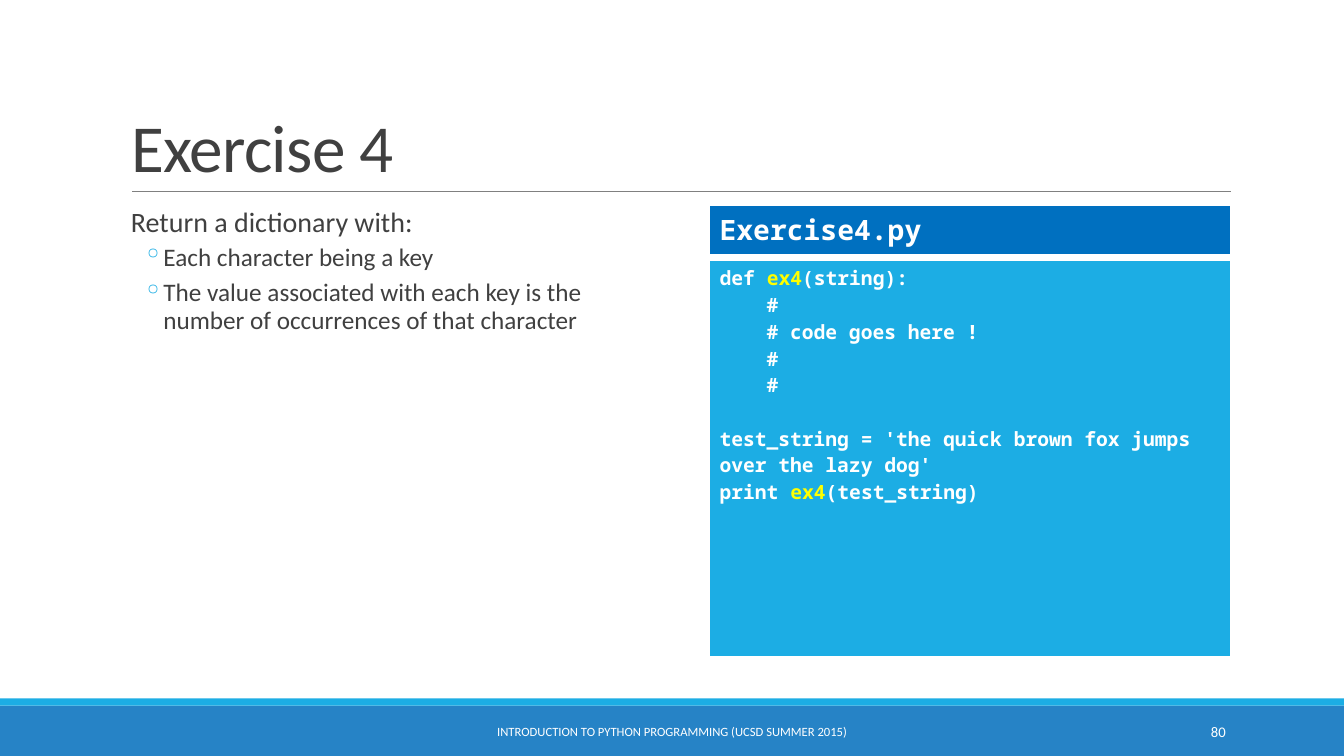
from lxml.etree import SubElement
from pptx import Presentation
from pptx.dml.color import RGBColor
from pptx.enum.shapes import MSO_CONNECTOR, MSO_SHAPE
from pptx.enum.text import MSO_ANCHOR, MSO_AUTO_SIZE, PP_ALIGN
from pptx.oxml.ns import qn
from pptx.util import Cm, Pt

COLOURS = {
    "text": "404040", "rule": "808080", "white": "FFFFFF", "name": "FFFF00",
    "bar": "2683C6", "accent": "1CADE4", "heading": "0070C0",
}
SANS, MONO = "Calibri", "Noto Sans Mono"
WIDTH, HEIGHT = 33.87, 19.05

CODE = [
    [("def ", "white"), ("ex4", "name"), ("(string):", "white")],
    [("    #", "white")],
    [("    # code goes here !", "white")],
    [("    #", "white")],
    [("    #", "white")],
    [("test_string = 'the quick brown fox jumps over the lazy dog'", "white")],
    [("print ", "white"), ("ex4", "name"), ("(test_string)", "white")],
]
TASKS = [
    "Each character being a key",
    "The value associated with each key is the number of occurrences of that character",
]


def colour(name):
    return RGBColor.from_string(COLOURS[name])


def lengths(box):
    return [Cm(value) for value in box]


def write(para, text, size=18, font=SANS, ink="text", bold=False, spacing=None):
    span = para.add_run()
    span.text = text
    span.font.size = Pt(size)
    span.font.name = font
    span.font.bold = bold
    span.font.color.rgb = colour(ink)
    if spacing is not None:
        span.font._element.set("spc", str(spacing))


def text_frame(page, box, anchor=MSO_ANCHOR.TOP):
    frame = page.shapes.add_textbox(*lengths(box)).text_frame
    frame.word_wrap = True
    frame.auto_size = MSO_AUTO_SIZE.NONE
    frame.vertical_anchor = anchor
    return frame


def set_indent(para, margin, first=0, bullet=None):
    props = para._p.get_or_add_pPr()
    props.set("marL", str(Cm(margin)))
    props.set("indent", str(Cm(first)))
    if bullet:
        tint = SubElement(props, qn("a:buClr"))
        SubElement(tint, qn("a:srgbClr"), val=COLOURS["accent"])
        SubElement(props, qn("a:buChar"), char=bullet)


def add_band(page, box, fill):
    band = page.shapes.add_shape(MSO_SHAPE.RECTANGLE, *lengths(box))
    band.shadow.inherit = False
    band.fill.solid()
    band.fill.fore_color.rgb = colour(fill)
    band.line.fill.background()


def add_footer(page, box):
    left, top, width, height = box
    strip = 0.18
    add_band(page, box, "bar")
    add_band(page, (left, top - strip, width, strip), "accent")
    labels = [
        (10.24, 13.39, PP_ALIGN.CENTER, 9,
         "INTRODUCTION TO PYTHON PROGRAMMING (UCSD SUMMER 2015)"),
        (27.51, 3.63, PP_ALIGN.RIGHT, 10.5, "80"),
    ]
    for offset, label_width, align, size, text in labels:
        frame = text_frame(page, (left + offset, top + 0.15, label_width, 1.02),
                           MSO_ANCHOR.MIDDLE)
        para = frame.paragraphs[0]
        para.alignment = align
        write(para, text, size=size, ink="white")


def add_title(page, box):
    left, top, width, height = box
    title = page.shapes.title
    title.left, title.top, title.width, title.height = lengths(box)
    frame = title.text_frame
    frame.auto_size = MSO_AUTO_SIZE.NONE
    frame.vertical_anchor = MSO_ANCHOR.BOTTOM
    para = frame.paragraphs[0]
    para.alignment = PP_ALIGN.LEFT
    para.line_spacing = 0.85
    write(para, "Exercise 4", size=48, spacing=-50)
    base = top + height
    rule = page.shapes.add_connector(
        MSO_CONNECTOR.STRAIGHT, *lengths((left + 0.28, base, left + width + 0.02, base)))
    rule.line.color.rgb = colour("rule")
    rule.line.width = Pt(0.5)
    SubElement(rule._element.spPr, qn("a:effectLst"))


def add_tasks(page, box):
    frame = text_frame(page, box)
    frame.margin_left = frame.margin_right = 0
    lead = frame.paragraphs[0]
    set_indent(lead, 0.25)
    lead.line_spacing = 0.9
    lead.space_after = Pt(2)
    write(lead, "Return a dictionary with:", size=20)
    for task in TASKS:
        para = frame.add_paragraph()
        para.level = 1
        set_indent(para, 1.07, -0.51, "◦")
        para.line_spacing = 0.9
        para.space_before = Pt(2)
        para.space_after = Pt(4)
        write(para, task)


def add_panel(page, box, fill):
    table = page.shapes.add_table(1, 1, *lengths(box)).table
    cell = table.cell(0, 0)
    props = cell._tc.get_or_add_tcPr()
    for side, points in (("lnL", 1), ("lnR", 1), ("lnT", 1), ("lnB", 3)):
        border = SubElement(props, qn("a:" + side), w=str(Pt(points)))
        SubElement(SubElement(border, qn("a:solidFill")), qn("a:srgbClr"),
                   val=COLOURS["white"])
    cell.fill.solid()
    cell.fill.fore_color.rgb = colour(fill)
    return cell.text_frame


def add_listing(page, box):
    left, top, width, height = box
    heading, gap = 1.27, 0.1
    body_top = heading + gap
    frame = add_panel(page, (left, top + body_top, width, height - body_top), "accent")
    for index, line in enumerate(CODE):
        para = frame.add_paragraph() if index else frame.paragraphs[0]
        if line[0][0].startswith("test_string"):
            para.space_before = Pt(19)
        for text, ink in line:
            write(para, text, size=14, font=MONO, ink=ink, bold=True)
    frame = add_panel(page, (left, top, width, heading), "heading")
    write(frame.paragraphs[0], "Exercise4.py", size=20, font=MONO, ink="white", bold=True)


def main():
    deck = Presentation()
    deck.slide_width, deck.slide_height = Cm(WIDTH), Cm(HEIGHT)
    page = deck.slides.add_slide(deck.slide_layouts[5])
    add_footer(page, (0, 17.78, WIDTH, 1.27))
    add_title(page, (3.05, 0.79, 27.94, 4.04))
    add_tasks(page, (3.05, 5.13, 12.93, 11.18))
    add_listing(page, (17.88, 5.18, 13.13, 11.4))
    deck.save("out.pptx")


if __name__ == "__main__":
    main()
